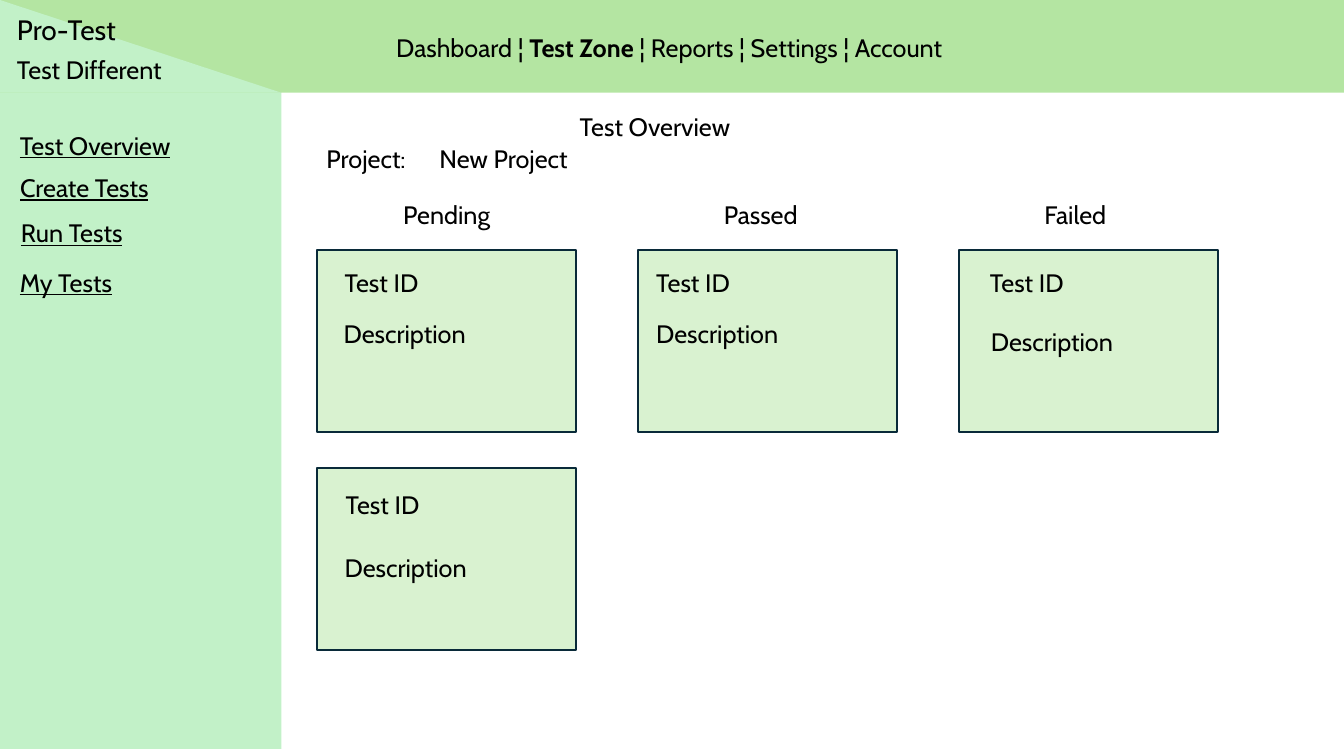
"""Build the Test Overview screen: header, side menu and a board of test cards."""
from pptx import Presentation, util as u
from pptx.dml.color import RGBColor
from pptx.enum import shapes, text

BLACK = RGBColor(0x00, 0x00, 0x00)
MINT = RGBColor(0xC2, 0xF1, 0xC8)
LEAF = RGBColor(0xB4, 0xE5, 0xA2)
PALE = RGBColor(0xD9, 0xF2, 0xD0)
NAVY = RGBColor(0x09, 0x2A, 0x39)

WIDTH, HEIGHT = 13.33, 7.5
SIDE_WIDTH, HEADER_HEIGHT = 2.79, 0.92
BOARD_LEFT, BOARD_TOP = 3.14, 2.48
CARD_WIDTH, CARD_HEIGHT = 2.57, 1.81
COLUMN_STEP, ROW_STEP = 3.185, 2.16
LINE_HEIGHT = 0.4

presentation = Presentation()
presentation.slide_width = u.Inches(WIDTH)
presentation.slide_height = u.Inches(HEIGHT)
slide = presentation.slides.add_slide(presentation.slide_layouts[5])


def add_block(kind, left, top, width, height, fill, line=None):
    """Draw a filled shape, outlined when a line colour is given."""
    shape = slide.shapes.add_shape(kind, *map(u.Inches, (left, top, width, height)))
    shape.shadow.inherit = False
    shape.fill.solid()
    shape.fill.fore_color.rgb = fill
    if line is None:
        shape.line.fill.background()
    else:
        shape.line.color.rgb = line
        shape.line.width = u.Pt(1.5)
    return shape


def write(runs, left, top, width, height=LINE_HEIGHT, shape=None, wrap=False,
          anchor=text.MSO_ANCHOR.TOP, align=text.PP_ALIGN.LEFT,
          fit=text.MSO_AUTO_SIZE.SHAPE_TO_FIT_TEXT, size=18, underline=None):
    """Place one line of text made of (wording, bold) runs."""
    shape = shape or slide.shapes.add_textbox(0, 0, 0, 0)
    place = {"left": left, "top": top, "width": width, "height": height}
    for name, value in place.items():
        setattr(shape, name, u.Inches(value))
    frame = shape.text_frame
    frame_format = {"word_wrap": wrap, "vertical_anchor": anchor, "auto_size": fit}
    for name, value in frame_format.items():
        setattr(frame, name, value)
    paragraph = frame.paragraphs[0]
    paragraph.alignment = align
    for wording, bold in runs:
        run = paragraph.add_run()
        run.text = wording
        font_format = {"name": "Cabin", "size": u.Pt(size), "bold": bold,
                       "underline": underline}
        for name, value in font_format.items():
            setattr(run.font, name, value)
        run.font.color.rgb = BLACK


RECTANGLE = shapes.MSO_SHAPE.RECTANGLE
add_block(RECTANGLE, 0, 0.85, SIDE_WIDTH, 6.58, MINT)
add_block(RECTANGLE, 0, 0, WIDTH, HEADER_HEIGHT, LEAF)
corner = add_block(shapes.MSO_SHAPE.ISOSCELES_TRIANGLE, 0, 0, SIDE_WIDTH,
                   HEADER_HEIGHT, MINT)
corner.adjustments[0] = 0

write([("Pro-Test", False)], 0.07, 0.08, 2.66, 0.44, wrap=True, size=20)
write([("Test Different", False)], 0.07, 0.49, 2.66, wrap=True)
write([("Dashboard ¦ ", False), ("Test Zone ", True),
       ("¦ Reports ¦ Settings ¦ Account ", False)],
      SIDE_WIDTH, 0.17, 7.75, 0.61, wrap=True, anchor=text.MSO_ANCHOR.MIDDLE,
      align=text.PP_ALIGN.CENTER, fit=text.MSO_AUTO_SIZE.NONE)

menu = [("Test Overview", 0.1, 1.24, 1.7), ("Create Tests", 0.1, 1.66, 1.55),
        ("Run Tests", 0.11, 2.11, 1.24), ("My Tests", 0.1, 2.6, 1.13)]
for label, left, top, width in menu:
    write([(label, False)], left, top, width, underline=True)

write([("Test Overview", False)], 5.65, 1.05, 1.7, shape=slide.shapes.title)
write([("Project:", False)], BOARD_LEFT, 1.37, 1.1)
write([("New Project", False)], 4.26, 1.37, 1.6, wrap=True)

for column, (label, width) in enumerate(
        [("Pending", 1.07), ("Passed", 0.99), ("Failed", 0.87)]):
    write([(label, False)], 3.9 + column * 3.18, 1.93, width)

cards = [(0, 0, (3.32, 2.6), (3.31, 3.11)),
         (1, 0, (6.41, 2.6), (6.41, 3.11)),
         (2, 0, (9.72, 2.6), (9.73, 3.19)),
         (0, 1, (3.33, 4.81), (3.32, 5.43))]
for column, row, id_place, description_place in cards:
    add_block(RECTANGLE, BOARD_LEFT + column * COLUMN_STEP,
              BOARD_TOP + row * ROW_STEP, CARD_WIDTH, CARD_HEIGHT, PALE, NAVY)
    write([("Test ID", False)], *id_place, 0.93)
    write([("Description", False)], *description_place, 1.47)

presentation.save("out.pptx")
